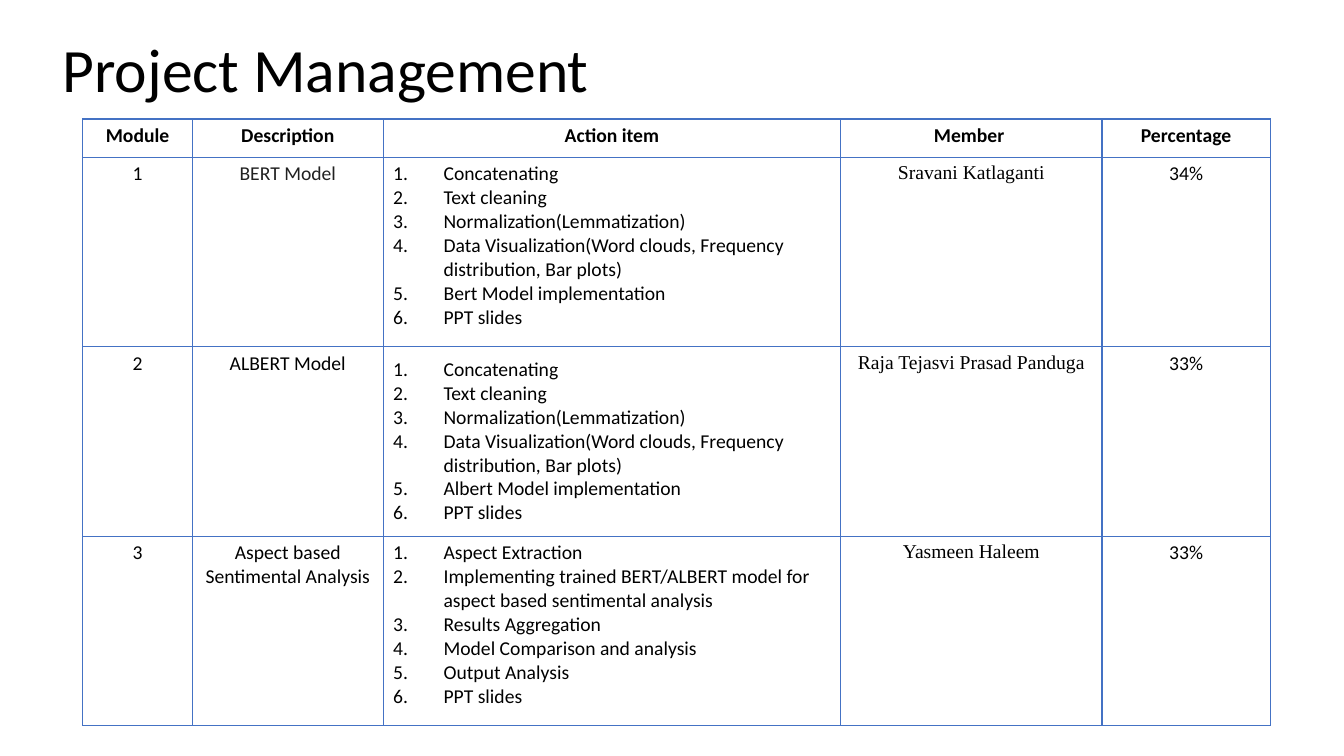
import pptx
import pptx.util
import pptx.dml.color
import pptx.enum.text
import pptx.oxml
import pptx.oxml.ns
from lxml import etree

Inches, Pt = pptx.util.Inches, pptx.util.Pt
RGBColor = pptx.dml.color.RGBColor
PP_ALIGN = pptx.enum.text.PP_ALIGN
MSO_ANCHOR = pptx.enum.text.MSO_ANCHOR
qn = pptx.oxml.ns.qn

BLACK = RGBColor(0x00, 0x00, 0x00)
CHARCOAL = RGBColor(0x21, 0x21, 0x21)
BLUE = RGBColor(0x44, 0x72, 0xC4)
BODY_FONT, MEMBER_FONT = "Calibri", "Times New Roman"

TITLE = "Project Management"
HEADINGS = ["Module", "Description", "Action item", "Member ", "Percentage"]
MODULES = [
    ("1", "BERT Model",
     ["Concatenating", "Text cleaning", "Normalization(Lemmatization)",
      "Data Visualization(Word clouds, Frequency distribution, Bar plots)",
      "Bert Model implementation", "PPT slides"],
     "Sravani Katlaganti", "34%"),
    ("2", "ALBERT Model",
     ["Concatenating", "Text cleaning", "Normalization(Lemmatization)",
      "Data Visualization(Word clouds, Frequency distribution, Bar plots)",
      "Albert Model implementation", "PPT slides"],
     "Raja Tejasvi Prasad Panduga", "33%"),
    ("3", "Aspect based Sentimental Analysis",
     ["Aspect Extraction",
      "Implementing trained BERT/ALBERT model for aspect based sentimental analysis",
      "Results Aggregation", "Model Comparison and analysis",
      "Output Analysis", "PPT slides"],
     "Yasmeen Haleem", "33%"),
]
COLUMN_WIDTHS = [1.09, 1.89, 4.54, 2.59, 1.67]
ROW_HEIGHTS = [0.38] + [1.88] * len(MODULES)
MEMBER_COLUMN = HEADINGS.index("Member ")


def style(paragraph, size, font=BODY_FONT, color=BLACK, bold=False):
    """Format every run of a paragraph."""
    for run in paragraph.runs:
        run.font.size = Pt(size)
        run.font.name = font
        run.font.color.rgb = color
        run.font.bold = bold


def number(paragraph):
    """Give a paragraph an automatic number and a hanging indent."""
    properties = paragraph._p.get_or_add_pPr()
    properties.set("marL", str(Inches(0.5)))
    properties.set("indent", str(-Inches(0.5)))
    etree.SubElement(properties, qn("a:buFont"), typeface="+mj-lt")
    etree.SubElement(properties, qn("a:buAutoNum"), type="arabicPeriod")


def outline(cell):
    """Draw a thin blue border on all sides of an unfilled cell."""
    properties = cell._tc.get_or_add_tcPr()
    for side in ("lnL", "lnR", "lnT", "lnB"):
        border = etree.SubElement(properties, qn(f"a:{side}"), w=str(Pt(1)))
        fill = etree.SubElement(border, qn("a:solidFill"))
        etree.SubElement(fill, qn("a:srgbClr"), val=str(BLUE))
    cell.fill.background()


def fill_cell(cell, content, font=BODY_FONT, color=BLACK, bold=False):
    """Write centred text, or a numbered list, into a cell."""
    outline(cell)
    numbered = isinstance(content, list)
    cell.text_frame.text = "\n".join(content) if numbered else content
    for paragraph in cell.text_frame.paragraphs:
        style(paragraph, 14, font, color, bold)
        if numbered:
            number(paragraph)
        else:
            paragraph.alignment = PP_ALIGN.CENTER


def main():
    """Build the project management slide."""
    deck = pptx.Presentation()
    deck.slide_width, deck.slide_height = Inches(13.33), Inches(7.5)
    slide = deck.slides.add_slide(deck.slide_layouts[5])

    title = slide.shapes.title
    title.left, title.top = Inches(0.52), Inches(0.05)
    title.width, title.height = Inches(11.9), Inches(1.33)
    title.text_frame.text = TITLE
    title.text_frame.vertical_anchor = MSO_ANCHOR.MIDDLE
    heading = title.text_frame.paragraphs[0]
    heading.alignment = PP_ALIGN.LEFT
    heading.line_spacing = 0.9
    style(heading, 44)

    plan = slide.shapes.add_table(
        len(ROW_HEIGHTS), len(COLUMN_WIDTHS), Inches(0.82), Inches(1.18),
        Inches(sum(COLUMN_WIDTHS)), Inches(sum(ROW_HEIGHTS))).table
    plan.first_row = plan.horz_banding = False
    for column, width in zip(plan.columns, COLUMN_WIDTHS):
        column.width = Inches(width)
    for row, height in zip(plan.rows, ROW_HEIGHTS):
        row.height = Inches(height)

    for r, contents in enumerate([HEADINGS, *MODULES]):
        for c, content in enumerate(contents):
            font = MEMBER_FONT if r and c == MEMBER_COLUMN else BODY_FONT
            color = CHARCOAL if content == "BERT Model" else BLACK
            fill_cell(plan.cell(r, c), content, font, color, bold=r == 0)
    plan.cell(2, 2).vertical_anchor = MSO_ANCHOR.MIDDLE

    deck.save("out.pptx")


if __name__ == "__main__":
    main()
